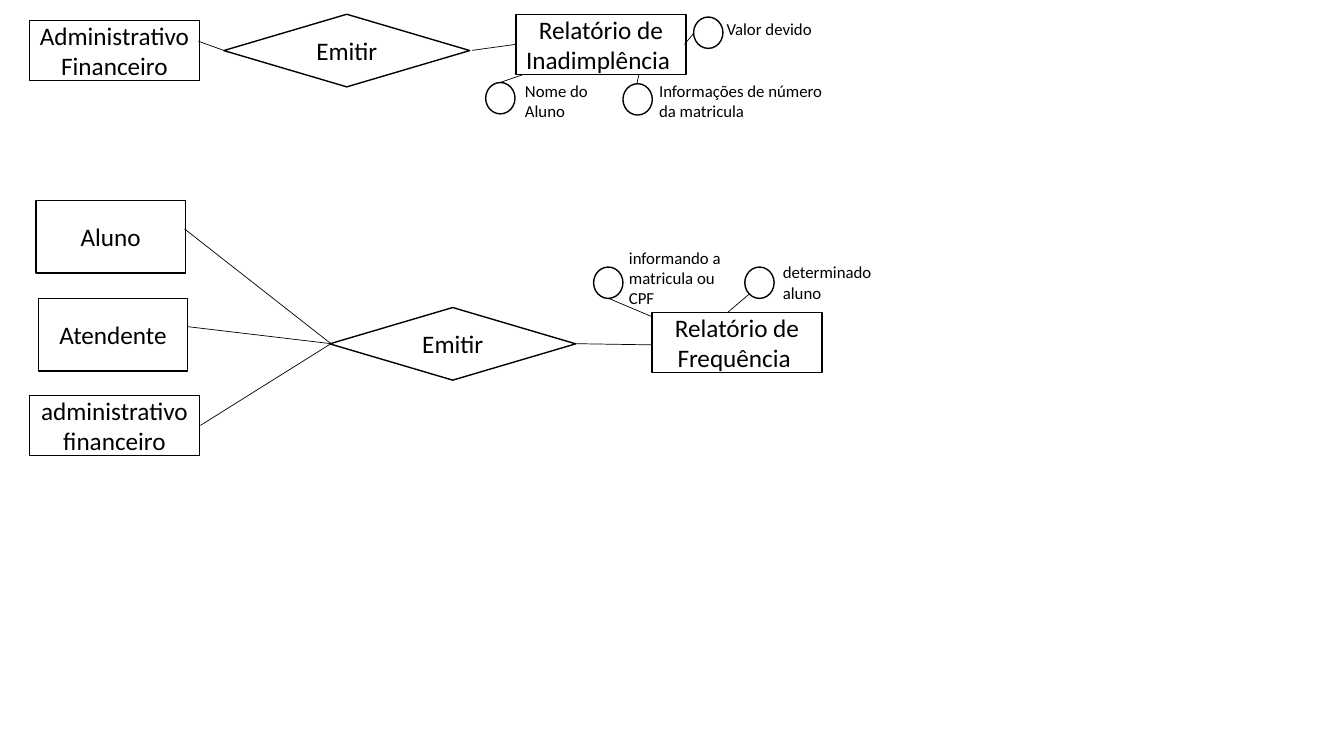
from lxml import etree
from pptx import Presentation, util as u
from pptx.dml.color import RGBColor
from pptx.enum import shapes, text
from pptx.oxml.ns import qn

BLACK = RGBColor(0, 0, 0)
WHITE = RGBColor(255, 255, 255)
RECT = shapes.MSO_SHAPE.RECTANGLE
DIAMOND = shapes.MSO_SHAPE.FLOWCHART_DECISION
CIRCLE = shapes.MSO_SHAPE.OVAL

# Sizes in cm
WIDE = (4.29, 1.52)
ACTOR = (3.76, 1.83)
RELATION = (6.2, 1.83)
DOT = (0.74, 0.79)

prs = Presentation()
prs.slide_width, prs.slide_height = u.Cm(33.87), u.Cm(19.05)
slide = prs.slides.add_slide(prs.slide_layouts[6])


def add_words(frame, words, size):
    frame.word_wrap = True
    run = frame.paragraphs[0].add_run()
    run.text = words
    run.font.name = "Calibri"
    run.font.size = u.Pt(size)
    run.font.color.rgb = BLACK


def add_outlined(kind, left, top, size):
    """Add a white shape with a thin black outline."""
    node = slide.shapes.add_shape(kind, u.Cm(left), u.Cm(top), *map(u.Cm, size))
    node.shadow.inherit = False
    node.fill.solid()
    node.fill.fore_color.rgb = WHITE
    node.line.color.rgb = BLACK
    node.line.width = u.Pt(1)
    return node


# Entities and relationships
for kind, left, top, size, words in [
    (RECT, 0.74, 0.51, WIDE, "Administrativo Financeiro"),
    (DIAMOND, 5.64, 0.36, RELATION, "Emitir"),
    (RECT, 13.0, 0.36, WIDE, "Relatório de Inadimplência "),
    (RECT, 0.91, 5.05, ACTOR, "Aluno"),
    (RECT, 0.97, 7.52, ACTOR, "Atendente"),
    (RECT, 0.74, 9.96, WIDE, "administrativo financeiro"),
    (DIAMOND, 8.31, 7.75, RELATION, "Emitir"),
    (RECT, 16.43, 7.87, WIDE, "Relatório de Frequência "),
]:
    node = add_outlined(kind, left, top, size)
    add_words(node.text_frame, words, 18)
    node.text_frame.vertical_anchor = text.MSO_ANCHOR.MIDDLE
    node.text_frame.paragraphs[0].alignment = text.PP_ALIGN.CENTER

# Attributes: circle position, label box, label
for dot, label_box, words in [
    ((12.24, 2.08), (12.98, 1.9, 3.1, 1.27), "Nome do Aluno"),
    ((15.7, 2.11), (16.36, 1.9, 4.67, 1.27), "Informações de número da matricula"),
    ((17.48, 0.43), (18.06, 0.36, 5.89, 0.76), "Valor devido"),
    ((14.96, 6.73), (15.6, 6.12, 3.1, 1.8), "informando a matricula ou CPF"),
    ((18.77, 6.73), (19.48, 6.48, 3.1, 1.27), "determinado aluno"),
]:
    add_outlined(CIRCLE, *dot, DOT)
    label = slide.shapes.add_textbox(*map(u.Cm, label_box))
    add_words(label.text_frame, words, 12)
    label.text_frame.auto_size = text.MSO_AUTO_SIZE.SHAPE_TO_FIT_TEXT

# Links: start x, start y, end x, end y
for ends in [
    (5.0, 1.04, 5.64, 1.27),
    (11.89, 1.27, 12.98, 1.12),
    (12.6, 2.08, 13.18, 1.88),
    (16.05, 2.11, 16.1, 1.88),
    (17.48, 0.84, 17.25, 1.12),
    (4.65, 5.77, 8.34, 8.66),
    (4.72, 8.23, 8.34, 8.66),
    (5.05, 10.72, 8.34, 8.66),
    (14.5, 8.66, 16.43, 8.69),
    (18.34, 7.87, 18.87, 7.42),
    (15.34, 7.52, 16.43, 7.98),
]:
    link = slide.shapes.add_connector(shapes.MSO_CONNECTOR.STRAIGHT, *map(u.Cm, ends))
    link.line.color.rgb = BLACK
    link.line.width = u.Pt(0.5)
    etree.SubElement(link._element.spPr, qn("a:effectLst"))

prs.save("out.pptx")
